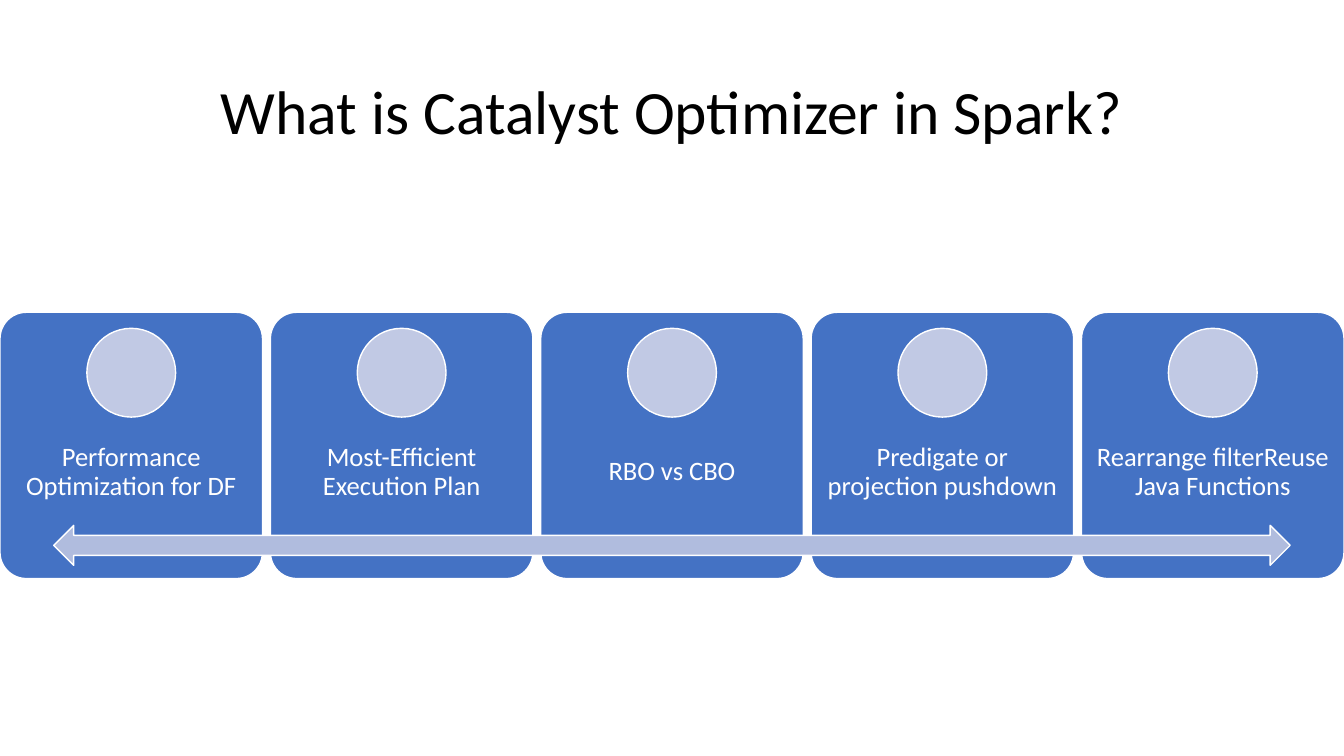
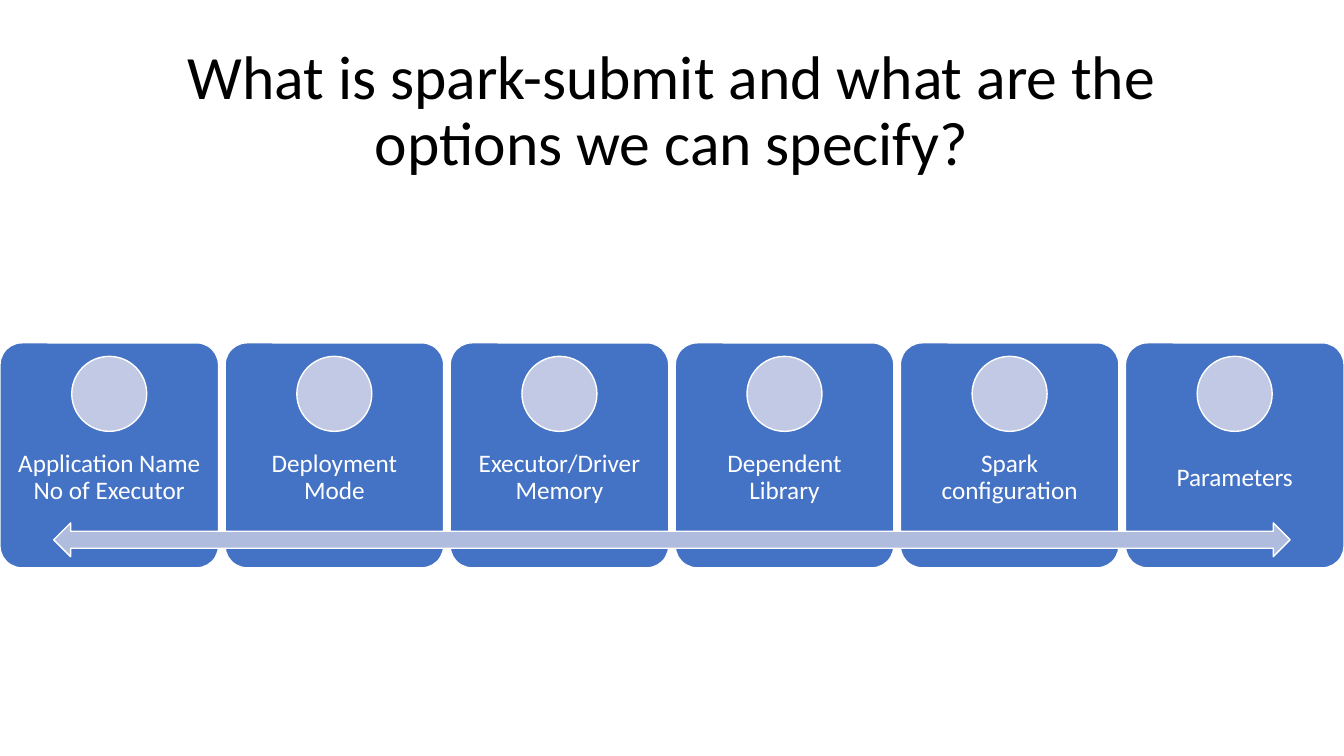
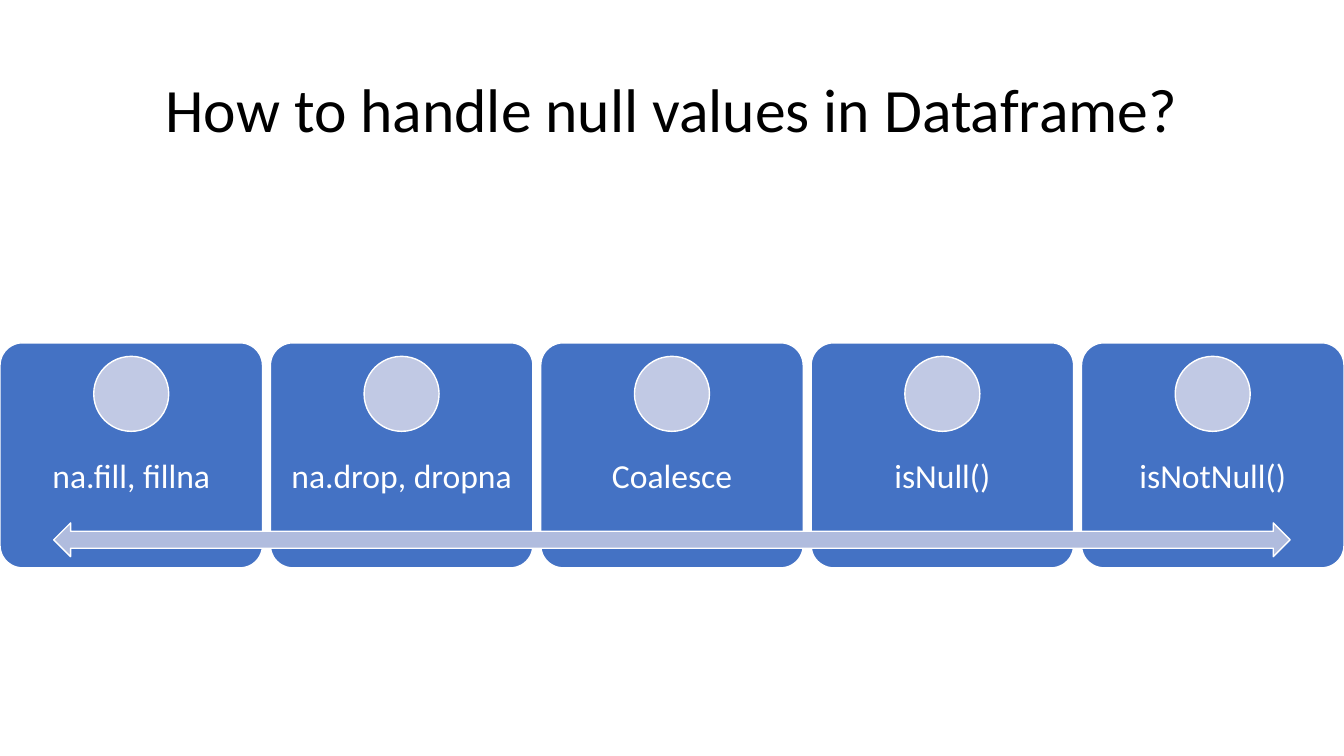
import pptx
import pptx.util
import pptx.dml.color
import pptx.enum.shapes
import pptx.enum.text

Cm = pptx.util.Cm
Pt = pptx.util.Pt
RGBColor = pptx.dml.color.RGBColor
ShapeKind = pptx.enum.shapes.MSO_SHAPE

BLACK = RGBColor(0x00, 0x00, 0x00)
WHITE = RGBColor(0xFF, 0xFF, 0xFF)
CARD_BLUE = RGBColor(0x44, 0x72, 0xC4)
CIRCLE_BLUE = RGBColor(0xC1, 0xC9, 0xE4)
ARROW_BLUE = RGBColor(0xB0, 0xBC, 0xDE)

FONT = "Calibri"
TITLE_SIZE = 44
SLIDE_WIDTH = 33.87  # centimetres
SLIDE_HEIGHT = 19.05
TITLE_ONLY_LAYOUT = 5

# Title, title height, card top, card height, label size, labels
SLIDES = [
    ("What is Catalyst Optimizer in Spark?", 5.79, 7.87, 6.71, 19,
     ["Performance Optimization for DF", "Most-Efficient Execution Plan",
      "RBO vs CBO", "Predigate or projection pushdown",
      "Rearrange filterReuse Java Functions"]),
    ("What is spark-submit and what are the\voptions we can specify?",
     5.67, 8.64, 5.67, 18,
     ["Application Name No of Executor", "Deployment Mode",
      "Executor/Driver Memory", "Dependent Library",
      "Spark configuration", "Parameters"]),
    ("How to handle null values in Dataframe?", 5.67, 8.64, 5.67, 24,
     ["na.fill, fillna", "na.drop, dropna", "Coalesce", "isNull()",
      "isNotNull()"]),
]


class Deck:
    """Holds the shared style and the current slide."""

    def __init__(self):
        self.presentation = pptx.Presentation()
        self.presentation.slide_width = Cm(SLIDE_WIDTH)
        self.presentation.slide_height = Cm(SLIDE_HEIGHT)
        self.slide = None

    def add_slide(self, title, title_height):
        layout = self.presentation.slide_layouts[TITLE_ONLY_LAYOUT]
        self.slide = self.presentation.slides.add_slide(layout)
        placeholder = self.slide.shapes.title
        placeholder.left, placeholder.top = Cm(0), Cm(0)
        placeholder.width, placeholder.height = Cm(SLIDE_WIDTH), Cm(title_height)
        self.set_text(placeholder.text_frame, title, TITLE_SIZE, BLACK)

    def set_text(self, text_frame, text, size, color):
        text_frame.text = text
        text_frame.word_wrap = True
        text_frame.auto_size = pptx.enum.text.MSO_AUTO_SIZE.NONE
        text_frame.vertical_anchor = pptx.enum.text.MSO_ANCHOR.MIDDLE
        paragraph = text_frame.paragraphs[0]
        paragraph.alignment = pptx.enum.text.PP_ALIGN.CENTER
        paragraph.line_spacing = 0.9
        for run in paragraph.runs:
            run.font.name = FONT
            run.font.size = Pt(size)
            run.font.color.rgb = color

    def shape(self, kind, left, top, width, height, fill):
        shape = self.slide.shapes.add_shape(
            kind, Cm(left), Cm(top), Cm(width), Cm(height))
        shape.shadow.inherit = False
        shape.fill.solid()
        shape.fill.fore_color.rgb = fill
        shape.line.color.rgb = WHITE
        shape.line.width = Pt(1)
        return shape

    def label(self, text, left, top, width, height, size):
        box = self.slide.shapes.add_textbox(
            Cm(left), Cm(top), Cm(width), Cm(height))
        frame = box.text_frame
        margin = Pt(0.57 * size)
        frame.margin_left = frame.margin_right = margin
        frame.margin_top = frame.margin_bottom = margin
        self.set_text(frame, text, size, WHITE)

    def card(self, text, left, top, width, height, size):
        card = self.shape(ShapeKind.ROUNDED_RECTANGLE,
                          left, top, width, height, CARD_BLUE)
        card.adjustments[0] = 0.1
        self.label(text, left, top + 0.4 * height, width, 0.4 * height, size)
        diameter = height / 3
        self.shape(ShapeKind.OVAL, left + (width - diameter) / 2,
                   top + 0.06 * height, diameter, diameter, CIRCLE_BLUE)

    def card_row(self, labels, top, height, size):
        # Gaps are 3 % of a card's width
        width = SLIDE_WIDTH / (len(labels) + 0.03 * (len(labels) - 1))
        for index, text in enumerate(labels):
            self.card(text, index * 1.03 * width, top, width, height, size)
        self.shape(ShapeKind.LEFT_RIGHT_ARROW, 0.04 * SLIDE_WIDTH,
                   top + 0.8 * height, 0.92 * SLIDE_WIDTH, 0.15 * height,
                   ARROW_BLUE)


def main():
    deck = Deck()
    for title, title_height, top, height, size, labels in SLIDES:
        deck.add_slide(title, title_height)
        deck.card_row(labels, top, height, size)
    deck.presentation.save("out.pptx")


if __name__ == "__main__":
    main()
